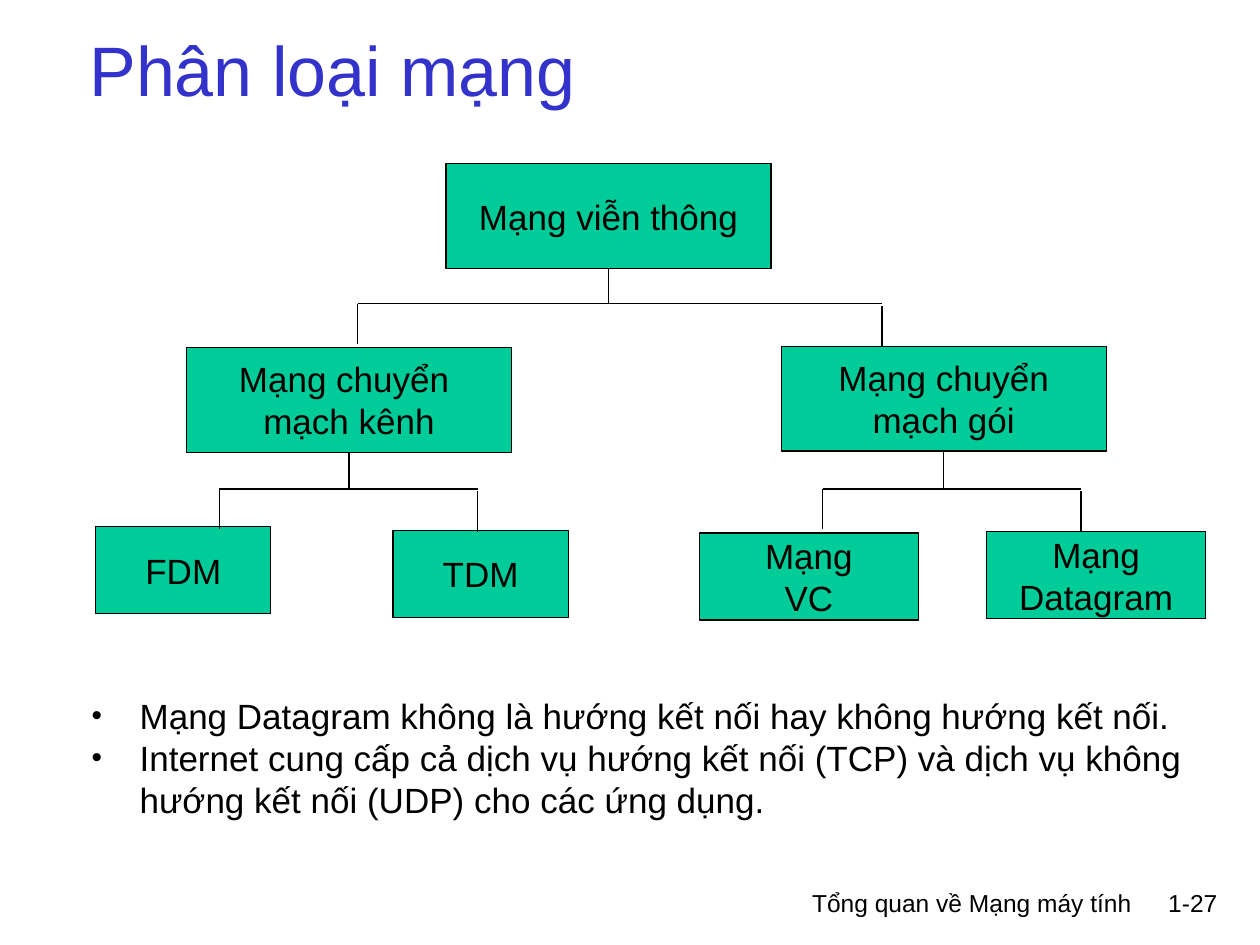
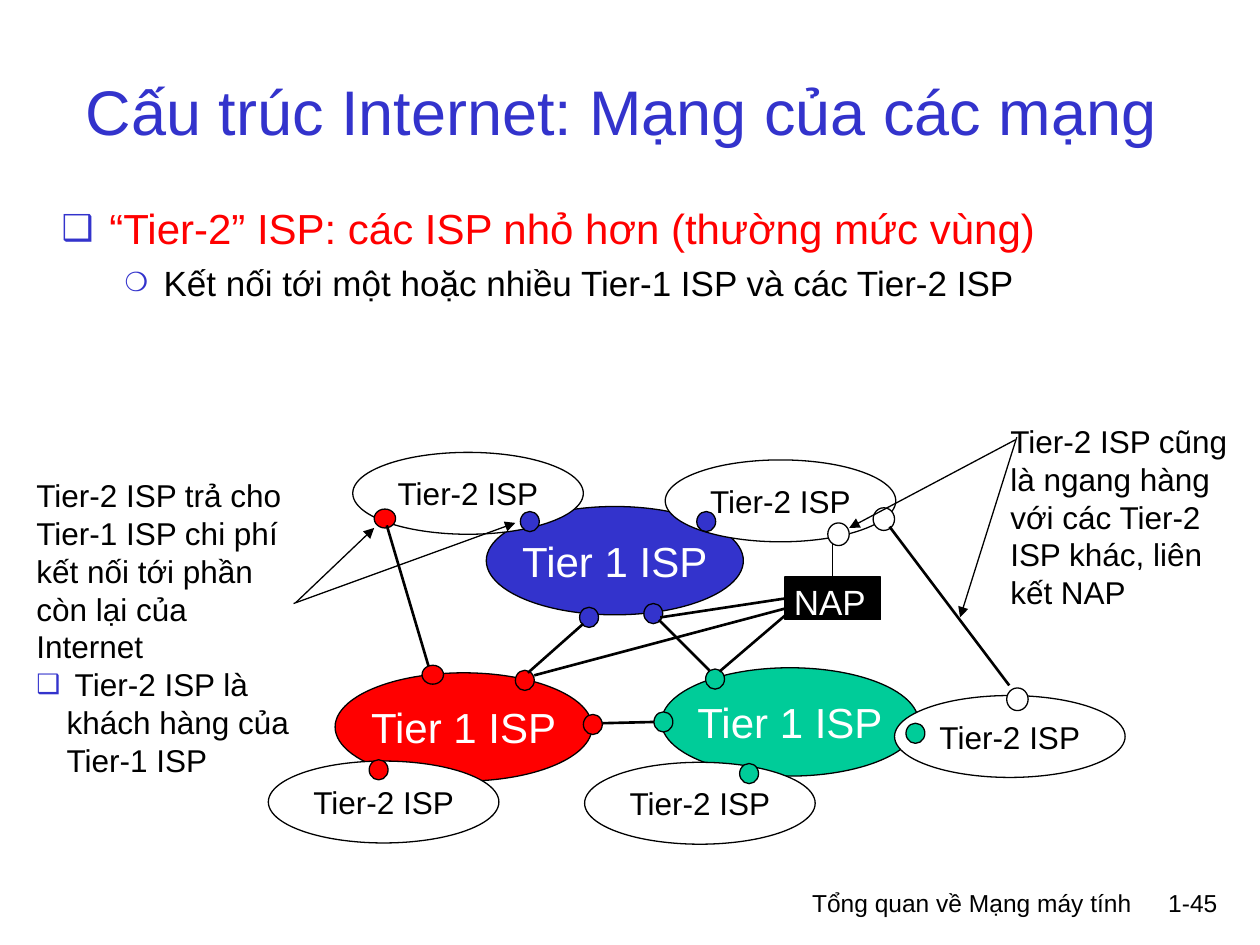
import pptx
import pptx.util
import pptx.dml.color
import pptx.enum.shapes
import pptx.enum.text
import pptx.oxml
import pptx.oxml.ns
from lxml import etree

PX = 9144
FONT = "Arial"
RGBColor = pptx.dml.color.RGBColor
BLACK = RGBColor(0x00, 0x00, 0x00)
WHITE = RGBColor(0xFF, 0xFF, 0xFF)
BLUE = RGBColor(0x33, 0x33, 0xCC)
GREEN = RGBColor(0x00, 0xCC, 0x99)
RED = RGBColor(0xFF, 0x00, 0x00)
RECT = pptx.enum.shapes.MSO_SHAPE.RECTANGLE
OVAL = pptx.enum.shapes.MSO_SHAPE.OVAL
ALIGN = pptx.enum.text.PP_ALIGN
ANCHOR = pptx.enum.text.MSO_ANCHOR
qn = pptx.oxml.ns.qn


def add_box(s, at, lines=(), size=18, color=BLACK, kind=None, fill=None, align=ALIGN.LEFT):
    left, top, width, height = (v * PX for v in at)
    if kind is None:
        sp = s.shapes.add_textbox(left, top, width, height)
    else:
        sp = s.shapes.add_shape(kind, left, top, width, height)
        sp.shadow.inherit = False
        sp.fill.solid()
        sp.fill.fore_color.rgb = fill
        sp.line.color.rgb = BLACK
        sp.line.width = pptx.util.Pt(0.75)
    tf = sp.text_frame
    tf.word_wrap = kind is None
    tf.vertical_anchor = ANCHOR.TOP if kind is None else ANCHOR.MIDDLE
    for i, text in enumerate(lines):
        p = tf.paragraphs[0] if i == 0 else tf.add_paragraph()
        p.alignment = align
        r = p.add_run()
        r.text = text
        r.font.name = FONT
        r.font.size = pptx.util.Pt(size)
        r.font.color.rgb = color
    return sp


def add_line(s, x1, y1, x2, y2, width=0.75, arrow=False):
    cn = s.shapes.add_connector(pptx.enum.shapes.MSO_CONNECTOR.STRAIGHT,
                                x1 * PX, y1 * PX, x2 * PX, y2 * PX)
    cn.line.color.rgb = BLACK
    cn.line.width = pptx.util.Pt(width)
    spPr = cn._element.spPr
    if arrow:
        etree.SubElement(spPr.find(qn("a:ln")), qn("a:tailEnd"), type="triangle")
    etree.SubElement(spPr, qn("a:effectLst"))
    return cn


prs = pptx.Presentation()
prs.slide_width = 1000 * PX
prs.slide_height = 750 * PX

for title, size, at, number in [
    ("Phân loại mạng", 40, (61, 0, 850, 109), "1-27"),
    ("Cấu trúc Internet: Mạng của các mạng", 36, (58, 25, 885, 125), "1-45"),
]:
    s = prs.slides.add_slide(prs.slide_layouts[5])
    sp = s.shapes.title
    sp.left, sp.top, sp.width, sp.height = (v * PX for v in at)
    tf = sp.text_frame
    tf.auto_size = pptx.enum.text.MSO_AUTO_SIZE.NONE
    tf.vertical_anchor = ANCHOR.MIDDLE
    p = tf.paragraphs[0]
    p.alignment = ALIGN.LEFT
    r = p.add_run()
    r.text = title
    r.font.name = FONT
    r.font.size = pptx.util.Pt(size)
    r.font.color.rgb = BLUE
    add_box(s, (544, 700, 364, 50), ["Tổng quan về Mạng máy tính"], 14, align=ALIGN.RIGHT)
    add_box(s, (908, 700, 68, 50), [number], 14, align=ALIGN.RIGHT)

tree, isp = prs.slides

boxes = [
    add_box(tree, at, lines, 20, BLACK, RECT, GREEN, ALIGN.CENTER)
    for at, lines in [
        ((354, 130, 258, 83), ["Mạng viễn thông"]),
        ((148, 276, 258, 83), ["Mạng chuyển ", "mạch kênh"]),
        ((620, 275, 258, 83), ["Mạng chuyển", "mạch gói"]),
        ((76, 418, 139, 69), ["FDM"]),
        ((312, 421, 139, 69), ["TDM"]),
        ((555, 423, 174, 69), ["Mạng", "VC"]),
        ((783, 422, 174, 69), ["Mạng", "Datagram"]),
    ]
]
for parent, x1, x2, rail in zip(boxes, (284, 174, 653), (700, 379, 858), (241, 388, 388)):
    stem = parent.left + parent.width // 2
    cn = add_line(tree, stem // PX, rail - 28, stem // PX, rail)
    cn.begin_connect(parent, 2)
    cn.end_x = stem
    add_line(tree, x1, rail, x2, rail)
    add_line(tree, x1, rail, x1, rail + 32)
    add_line(tree, x2, rail + 2, x2, rail + 34)

notes = add_box(tree, (63, 546, 894, 110), [
    "Mạng Datagram không là hướng kết nối hay không hướng kết nối.",
    "Internet cung cấp cả dịch vụ hướng kết nối (TCP) và dịch vụ không "
    "hướng kết nối (UDP) cho các ứng dụng.",
], 20)

body = add_box(isp, (39, 156, 923, 100), [
    "“Tier-2” ISP: các ISP nhỏ hơn (thường mức vùng)",
    "Kết nối tới một hoặc nhiều Tier-1 ISP và các Tier-2 ISP",
], 24, RED)
p = body.text_frame.paragraphs[1]
p.level = 1
p.space_before = pptx.util.Pt(5)
p.runs[0].font.size = pptx.util.Pt(20)
p.runs[0].font.color.rgb = BLACK

for x, y, fill in [(266, 534, RED), (386, 402, BLUE), (525, 530, GREEN)]:
    add_box(isp, (x, y, 204, 86), ["Tier 1 ISP"], 24, WHITE, OVAL, fill, ALIGN.CENTER)
for x, y, fill in [(560, 531, GREEN), (511, 479, BLUE), (460, 482, BLUE),
                   (409, 532, RED), (463, 567, RED), (519, 565, GREEN)]:
    add_box(isp, (x, y, 15, 16), kind=OVAL, fill=fill)
for ends in [(478, 574, 519, 573), (523, 492, 563, 532), (419, 534, 463, 495)]:
    add_line(isp, *ends, width=1.5)

nap = add_box(isp, (623, 458, 76, 34), ["NAP"], 20, WHITE, RECT, BLACK)
tf = nap.text_frame
tf.vertical_anchor = ANCHOR.TOP
tf.margin_left = 7 * PX
tf.margin_top = 3 * PX
add_line(isp, 626, 486, 571, 533, 1.5)
add_line(isp, 524, 490, 623, 475, 1.5).end_connect(nap, 1)
add_line(isp, 623, 483, 424, 536, 1.5)

for x, y, dot_x, dot_y, fill in [
    (528, 365, 553, 406, BLUE), (280, 359, 413, 406, BLUE), (213, 604, 293, 603, RED),
    (464, 605, 587, 606, GREEN), (710, 552, 719, 574, GREEN),
]:
    add_box(isp, (x, y, 183, 65), ["Tier-2 ISP"], 18, BLACK, OVAL, WHITE, ALIGN.CENTER)
    add_box(isp, (dot_x, dot_y, 15, 16), kind=OVAL, fill=fill)

add_box(isp, (297, 404, 17, 15), kind=OVAL, fill=RED)
add_line(isp, 307, 417, 342, 535, 1.5)
add_box(isp, (335, 528, 17, 15), kind=OVAL, fill=RED)

customer = add_box(isp, (19, 373, 224, 250), [
    "Tier-2 ISP trả cho Tier-1 ISP chi phí kết nối tới phần còn lại của Internet",
    " Tier-2 ISP là khách hàng của Tier-1 ISP",
])
add_box(isp, (792, 330, 197, 160),
        ["Tier-2 ISP cũng là ngang hàng với các Tier-2 ISP khác, liên kết NAP"])
for x, y in [(693, 403), (799, 546), (657, 415)]:
    add_box(isp, (x, y, 17, 18), kind=OVAL, fill=WHITE)
add_line(isp, 706, 418, 801, 544, 1.5)
add_line(isp, 661, 432, 661, 458).end_connect(nap, 0)
for ends in [(233, 479, 409, 415), (235, 478, 297, 419),
             (807, 347, 762, 490), (806, 349, 674, 419)]:
    add_line(isp, *ends, arrow=True)

for sp, i, char, color, percent, margin, hang in [
    (notes, 0, "•", BLACK, 85, 38, 38),
    (notes, 1, "•", BLACK, 85, 38, 38),
    (body, 0, "❑", BLUE, 85, 38, 38),
    (body, 1, "❍", BLUE, 75, 81, 31),
    (customer, 1, "❑", BLUE, 85, 24, 24),
]:
    pPr = sp.text_frame.paragraphs[i]._p.get_or_add_pPr()
    pPr.set("marL", str(margin * PX))
    pPr.set("indent", str(-hang * PX))
    clr = etree.SubElement(pPr, qn("a:buClr"))
    etree.SubElement(clr, qn("a:srgbClr"), val=str(color))
    etree.SubElement(pPr, qn("a:buSzPct"), val=str(percent * 1000))
    etree.SubElement(pPr, qn("a:buFont"), typeface=FONT)
    etree.SubElement(pPr, qn("a:buChar"), char=char)

prs.save("out.pptx")
